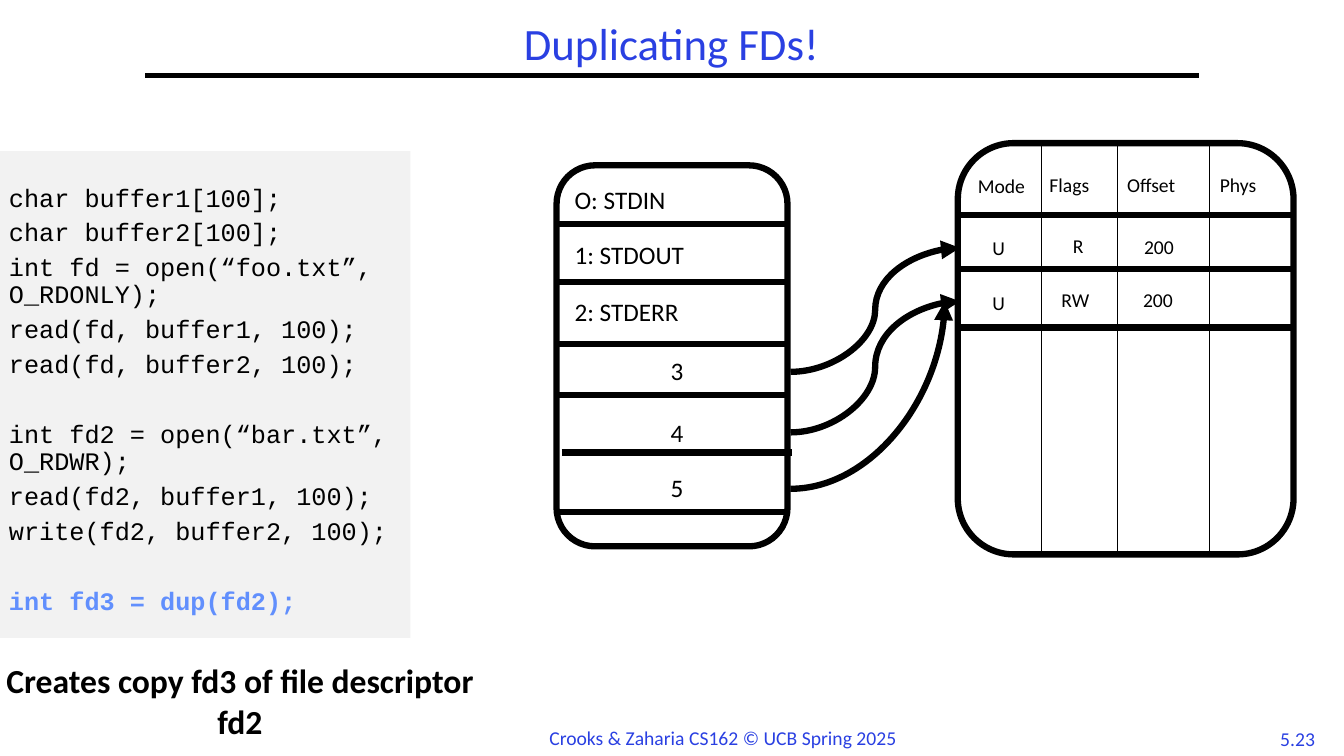
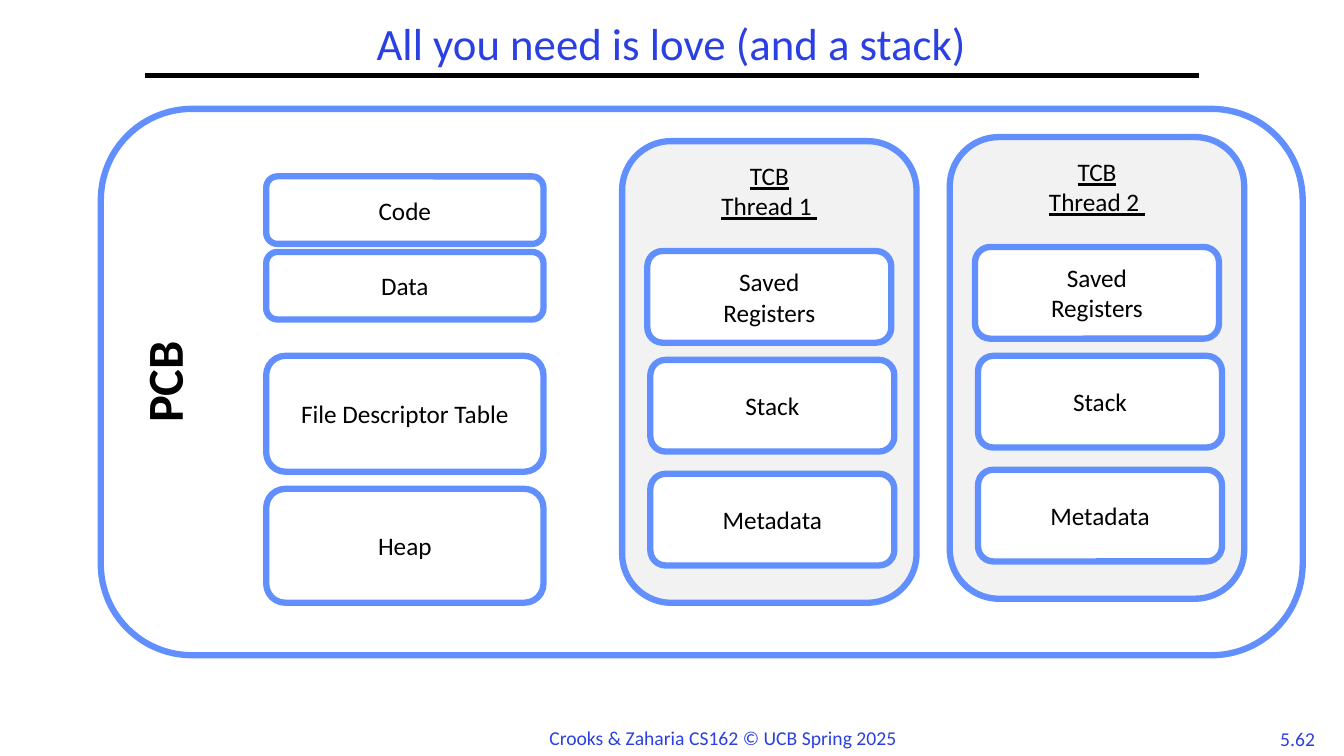
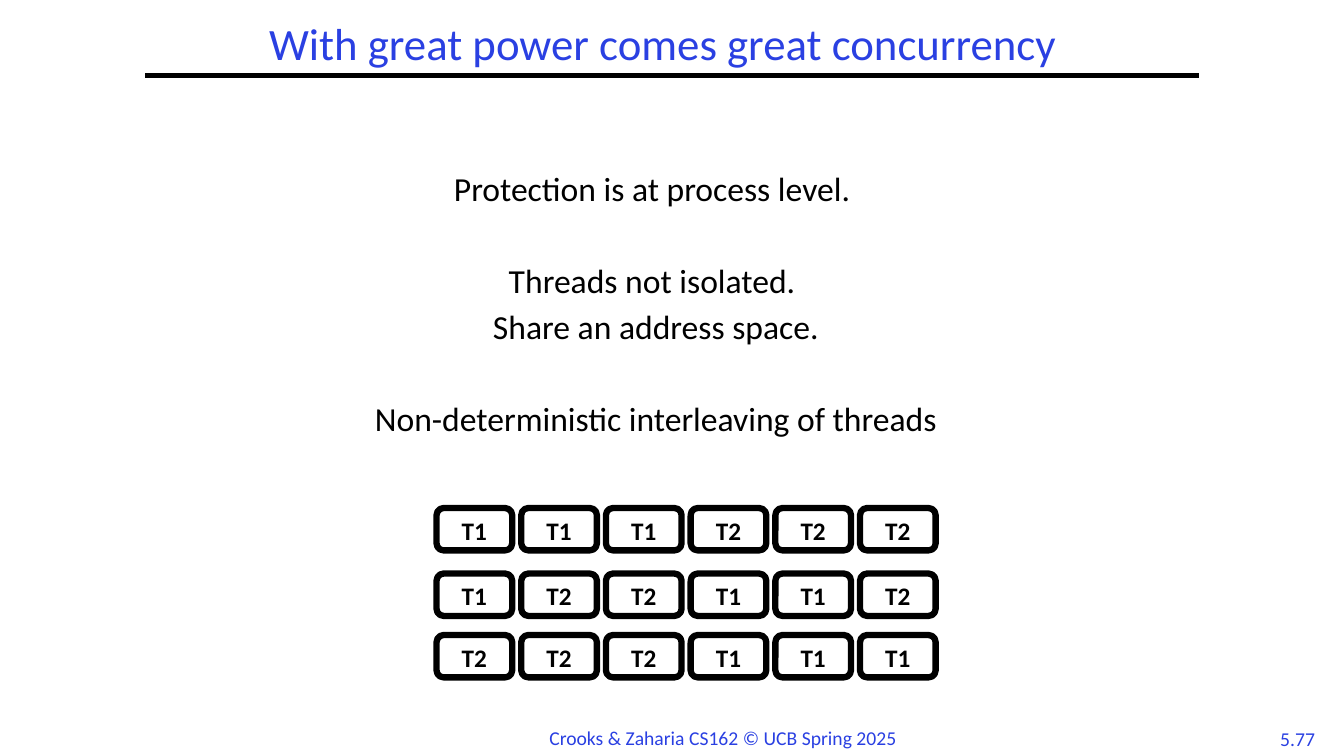
from lxml.etree import SubElement
from pptx import Presentation
from pptx.dml.color import RGBColor
from pptx.enum.shapes import MSO_CONNECTOR, MSO_SHAPE
from pptx.enum.text import MSO_ANCHOR, MSO_AUTO_SIZE, PP_ALIGN
from pptx.oxml.ns import qn
from pptx.util import Emu, Pt

BLACK = RGBColor(0x00, 0x00, 0x00)
WHITE = RGBColor(0xFF, 0xFF, 0xFF)
GRAY = RGBColor(0xF2, 0xF2, 0xF2)
TITLE_BLUE = RGBColor(0x2A, 0x40, 0xE2)
ACCENT_BLUE = RGBColor(0x61, 0x8F, 0xFD)
SANS = "Calibri"
MONO = "Courier New"
FOOTER = "Crooks & Zaharia CS162 © UCB Spring 2025"
LEFT, CENTER = PP_ALIGN.LEFT, PP_ALIGN.CENTER
TOP, MIDDLE = MSO_ANCHOR.TOP, MSO_ANCHOR.MIDDLE
PX = 9144
THICK = 4.5
THIN = 0.75


def px(*lengths):
    return [Emu(length * PX) for length in lengths]


class Deck:
    def __init__(self):
        self.prs = Presentation()
        self.prs.slide_width, self.prs.slide_height = px(1333, 750)
        self.slide = None

    def new_slide(self, title, number, title_box=(144, 17, 1044, 58)):
        self.slide = self.prs.slides.add_slide(self.prs.slide_layouts[5])
        heading = self.slide.shapes.title
        heading.left, heading.top, heading.width, heading.height = px(*title_box)
        self.fill_text(heading.text_frame, [title], 32, color=TITLE_BLUE,
                       anchor=MIDDLE, spacing=0.9)
        self.line((144, 75), (1189, 75), 3)
        self.label(FOOTER, (535, 715, 367, 34), 14, LEFT, color=TITLE_BLUE, wrap=False)
        self.label(number, (1258, 716, 58, 33), 14, color=TITLE_BLUE, wrap=False)

    def fill_text(self, frame, lines, size, align=CENTER, color=BLACK, font=SANS,
                  bold=False, underline=False, anchor=TOP, spacing=1.0, wrap=True):
        frame.word_wrap = wrap
        frame.auto_size = MSO_AUTO_SIZE.NONE
        frame.vertical_anchor = anchor
        for index, line in enumerate(lines):
            paragraph = frame.paragraphs[0] if index == 0 else frame.add_paragraph()
            paragraph.alignment = align
            paragraph.line_spacing = spacing
            run = paragraph.add_run()
            run.text = line
            run.font.name = font
            run.font.size = Pt(size)
            run.font.bold = bold
            run.font.underline = underline
            run.font.color.rgb = color

    def label(self, text, box, size, align=CENTER, **style):
        frame = self.slide.shapes.add_textbox(*px(*box)).text_frame
        self.fill_text(frame, [text], size, align, **style)

    def passage(self, lines, box, size, gaps, **style):
        frame = self.slide.shapes.add_textbox(*px(*box)).text_frame
        self.fill_text(frame, lines, size, spacing=0.9, **style)
        for paragraph, gap in zip(frame.paragraphs[1:], gaps):
            paragraph.space_before = Pt(gap)
        return frame

    def panel(self, box, lines=(), fill=WHITE, outline=ACCENT_BLUE,
              shape=MSO_SHAPE.ROUNDED_RECTANGLE, size=18, **style):
        panel = self.slide.shapes.add_shape(shape, *px(*box))
        panel.shadow.inherit = False
        panel.fill.solid()
        panel.fill.fore_color.rgb = fill
        if outline is None:
            panel.line.fill.background()
        else:
            panel.line.color.rgb = outline
            panel.line.width = Pt(THICK)
        self.fill_text(panel.text_frame, lines, size, **style)
        return panel

    def line(self, start, end, width=THICK, kind=MSO_CONNECTOR.STRAIGHT):
        line = self.slide.shapes.add_connector(kind, *px(*start, *end))
        line.line.color.rgb = BLACK
        line.line.width = Pt(width)
        SubElement(line._element.spPr, qn("a:effectLst"))
        return line

    def arrow(self, start, end, preset="curvedConnector3"):
        arrow = self.line(start, end, kind=MSO_CONNECTOR.CURVE)
        properties = arrow._element.spPr
        properties.find(qn("a:prstGeom")).set("prst", preset)
        SubElement(properties.find(qn("a:ln")), qn("a:tailEnd"), type="triangle")


def duplicating_fds(deck):
    deck.new_slide("Duplicating FDs!", "5.23")
    deck.panel((-1, 150, 408, 483), fill=GRAY, outline=None, shape=MSO_SHAPE.RECTANGLE)
    code = ["char buffer1[100];", "char buffer2[100];",
            "int fd = open(“foo.txt”, O_RDONLY);",
            "read(fd, buffer1, 100);", "read(fd, buffer2, 100);",
            "int fd2 = open(“bar.txt”, O_RDWR);",
            "read(fd2, buffer1, 100);", "write(fd2, buffer2, 100);",
            "int fd3 = dup(fd2);"]
    gap, block_gap = 5.4, 30.6
    frame = deck.passage(code, (-1, 179, 408, 454), 18,
                         [gap] * 4 + [block_gap] + [gap] * 2 + [block_gap],
                         align=LEFT, font=MONO)
    dup_call = frame.paragraphs[-1].runs[0].font
    dup_call.bold = True
    dup_call.color.rgb = ACCENT_BLUE
    deck.label("Creates copy fd3 of file descriptor fd2", (-8, 650, 492, 91), 24, bold=True)

    deck.panel((552, 164, 229, 378), outline=BLACK)
    deck.panel((950, 142, 333, 408), outline=BLACK)
    for left, y in [(552, 222), (552, 280), (552, 341), (552, 392), (557, 449), (555, 508)]:
        deck.line((left, y), (left + 229, y))
    for stream, top in [("O: STDIN", 178), ("1: STDOUT", 233), ("2: STDERR", 289)]:
        deck.label(stream, (560, top, 284, 40), 18, LEFT)
    for descriptor, top in [("3", 348), ("4", 409), ("5", 464)]:
        deck.label(descriptor, (560, top, 223, 40), 18)

    for left, y in [(950, 213), (950, 267), (952, 325)]:
        deck.line((left, y), (left + 333, y))
    for x, top in [(1033, 142), (1108, 142), (1200, 140)]:
        deck.line((x, top), (x, top + 408), THIN)
    for header, left, top in [("Mode", 960, 168), ("Flags", 1031, 167),
                              ("Offset", 1108, 167), ("Phys", 1200, 167)]:
        deck.label(header, (left, top, 108, 34), 14, LEFT)
    for entry, left, top in [("U", 952, 229), ("R", 1031, 227), ("200", 1111, 228),
                             ("U", 952, 284), ("RW", 1028, 281), ("200", 1110, 281)]:
        deck.label(entry, (left, top, 77, 34), 14)

    deck.arrow((784, 369), (952, 246))
    deck.arrow((784, 429), (952, 299))
    deck.arrow((784, 485), (937, 299), "curvedConnector2")


def thread_block(deck, number, left, top):
    deck.panel((left, top, 292, 458), ["TCB", f"Thread {number} "],
               fill=GRAY, underline=True)
    for lines, dx, dy in [(["Saved", "Registers"], 25, 109),
                          (["Stack"], 28, 217), (["Metadata"], 28, 330)]:
        deck.panel((left + dx, top + dy, 242, 91), lines, anchor=MIDDLE)


def love_and_a_stack(deck):
    deck.new_slide("All you need is love (and a stack)", "5.62")
    process = deck.panel((425, -217, 542, 1192), ["PCB"], size=36, bold=True)
    process.rotation = 270
    for part, top, height in [("Code", 175, 67), ("Data", 250, 67),
                              ("File Descriptor Table", 353, 115), ("Heap", 485, 113)]:
        deck.panel((264, top, 275, height), [part], anchor=MIDDLE)
    thread_block(deck, 1, 617, 140)
    thread_block(deck, 2, 942, 136)


def great_concurrency(deck):
    deck.new_slide("With great power comes great concurrency ", "5.77", (0, 17, 1325, 58))
    deck.passage(["Protection is at process level. ", "Threads not isolated. ",
                  "Share an address space.", "Non-deterministic interleaving of threads"],
                 (117, 166, 1067, 318), 24, [40, 7, 40])
    schedules = [(504, "T1 T1 T1 T2 T2 T2"), (569, "T1 T2 T2 T1 T1 T2"),
                 (630, "T2 T2 T2 T1 T1 T1")]
    for top, schedule in schedules:
        for column, thread in enumerate(schedule.split()):
            deck.panel((433 + 84 * column, top, 75, 42), [thread],
                       outline=BLACK, bold=True)


def main():
    deck = Deck()
    duplicating_fds(deck)
    love_and_a_stack(deck)
    great_concurrency(deck)
    deck.prs.save("out.pptx")


if __name__ == "__main__":
    main()
